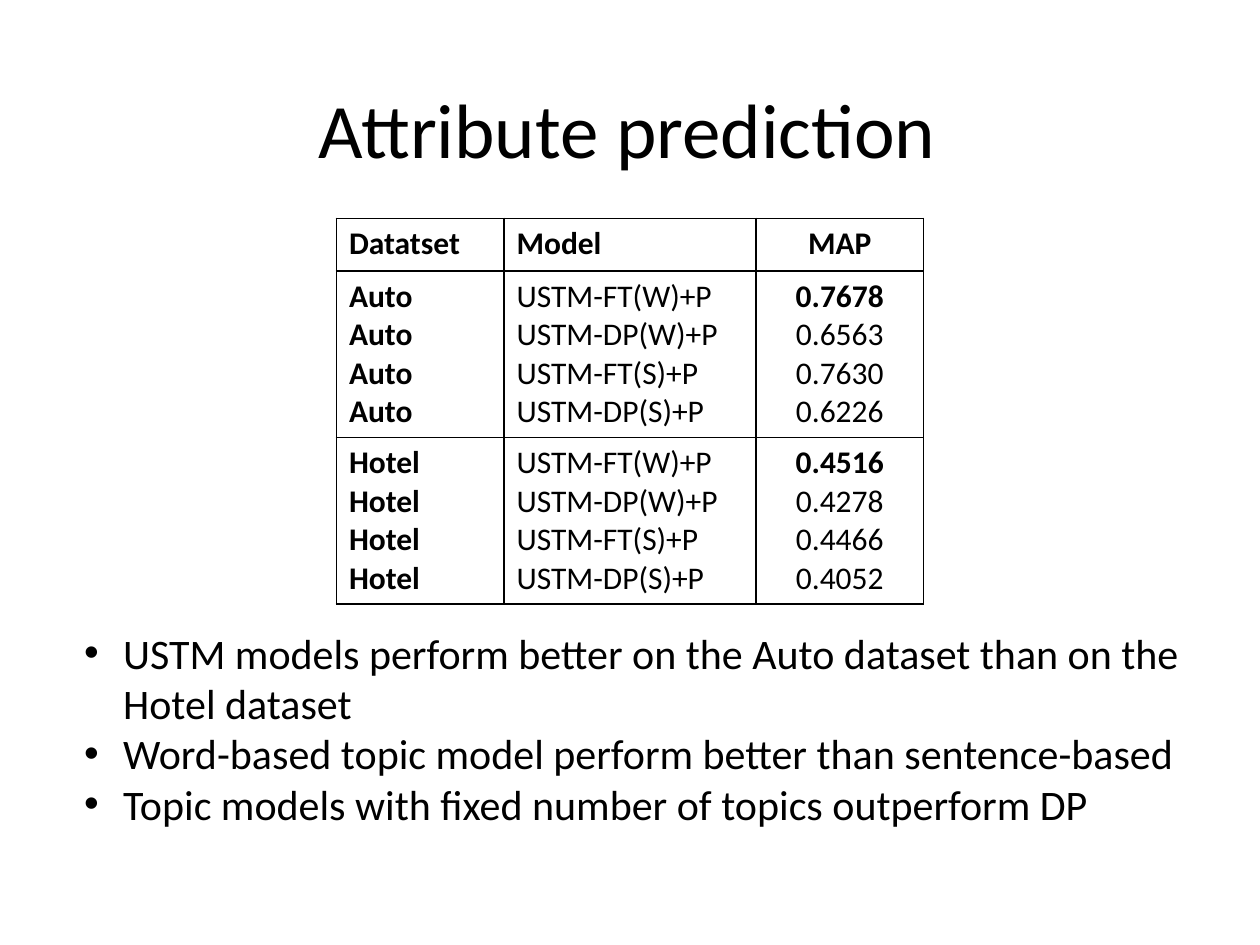
import pptx
import pptx.util
import pptx.dml.color
import pptx.enum.text
import pptx.oxml
import pptx.oxml.ns
from lxml import etree

BLACK = pptx.dml.color.RGBColor(0x00, 0x00, 0x00)
ALIGN = pptx.enum.text.PP_ALIGN
ANCHOR = pptx.enum.text.MSO_ANCHOR
LEFT, CENTER = ALIGN.LEFT, ALIGN.CENTER

# Content
MODELS = ["USTM-FT(W)+P", "USTM-DP(W)+P", "USTM-FT(S)+P", "USTM-DP(S)+P"]
SCORES = {
    "Auto": ["0.7678", "0.6563", "0.7630", "0.6226"],
    "Hotel": ["0.4516", "0.4278", "0.4466", "0.4052"],
}
FINDINGS = [
    "USTM models perform better on the Auto dataset than on the Hotel dataset",
    "Word-based topic model perform better than sentence-based",
    "Topic models with fixed number of topics outperform DP",
]


def add_text(p, text, size=18, bold=False, align=LEFT, color=BLACK, font="Calibri"):
    p.alignment = align
    r = p.add_run()
    r.text = text
    r.font.name, r.font.size, r.font.bold = font, pptx.util.Pt(size), bold
    r.font.color.rgb = color


def paragraphs(tf, count):
    """Return the frame's first paragraph and as many new ones as needed."""
    return [tf.paragraphs[0]] + [tf.add_paragraph() for _ in range(count - 1)]


def set_borders(cell, color=BLACK, width=1):
    tcPr = cell._tc.get_or_add_tcPr()
    for i, side in enumerate(("lnL", "lnR", "lnT", "lnB")):
        ln = pptx.oxml.parse_xml(
            f'<a:{side} {pptx.oxml.ns.nsdecls("a")} w="{pptx.util.Pt(width)}">'
            f'<a:solidFill><a:srgbClr val="{color}"/></a:solidFill></a:{side}>')
        tcPr.insert(i, ln)


class Deck:
    """Slide builder; positions are shares of the slide's size."""

    def __init__(self, width=10, height=7.5):
        self.prs = pptx.Presentation()
        self.prs.slide_width = pptx.util.Inches(width)
        self.prs.slide_height = pptx.util.Inches(height)
        self.s = self.prs.slides.add_slide(self.prs.slide_layouts[5])

    def box(self, x, y, w, h):
        W, H = self.prs.slide_width, self.prs.slide_height
        return int(x * W), int(y * H), int(w * W), int(h * H)

    def title(self, text, *shares):
        sp = self.s.shapes.title
        sp.left, sp.top, sp.width, sp.height = self.box(*shares)
        sp.text_frame.vertical_anchor = ANCHOR.MIDDLE
        add_text(sp.text_frame.paragraphs[0], text, size=44, align=CENTER)

    def table(self, rows, widths, heights, *shares):
        """Each cell is a list of (text, bold) lines; the last column is centred."""
        frame = self.s.shapes.add_table(len(rows), len(widths), *self.box(*shares))
        table = frame.table
        table.first_row = table.horz_banding = False
        for column, width in zip(table.columns, widths):
            column.width = pptx.util.Inches(width)
        for row, height in zip(table.rows, heights):
            row.height = pptx.util.Inches(height)
        for i, row in enumerate(rows):
            for j, lines in enumerate(row):
                cell = table.cell(i, j)
                cell.fill.background()
                set_borders(cell)
                align = CENTER if j == len(row) - 1 else LEFT
                for p, (text, bold) in zip(paragraphs(cell.text_frame, len(lines)), lines):
                    add_text(p, text, bold=bold, align=align)

    def bullets(self, items, *shares, indent=0.31):
        tf = self.s.shapes.add_textbox(*self.box(*shares)).text_frame
        tf.word_wrap = True
        tf.auto_size = pptx.enum.text.MSO_AUTO_SIZE.SHAPE_TO_FIT_TEXT
        for p, text in zip(paragraphs(tf, len(items)), items):
            add_text(p, text, size=24)
            pPr = p._p.get_or_add_pPr()
            margin = pptx.util.Inches(indent)
            pPr.set("marL", str(margin))
            pPr.set("indent", str(-margin))
            ns = pptx.oxml.ns.qn
            etree.SubElement(pPr, ns("a:buFont")).set("typeface", "Arial")
            etree.SubElement(pPr, ns("a:buChar")).set("char", "•")


def main():
    deck = Deck()
    deck.title("Attribute prediction", 0.048, 0.052, 0.9, 0.167)

    # Results: the best score of each dataset is bold
    rows = [[[(head, True)] for head in ("Datatset", "Model", "MAP")]]
    for dataset, scores in SCORES.items():
        rows.append([
            [(dataset, True)] * len(scores),
            [(model, False) for model in MODELS],
            [(score, score == max(scores)) for score in scores],
        ])
    deck.table(rows, (1.33, 2, 1.33), (0.42, 1.32, 1.32), 0.267, 0.231, 0.467, 0.408)

    # Findings
    deck.bullets(FINDINGS, 0.057, 0.657, 0.9, 0.23)
    deck.prs.save("out.pptx")


if __name__ == "__main__":
    main()
